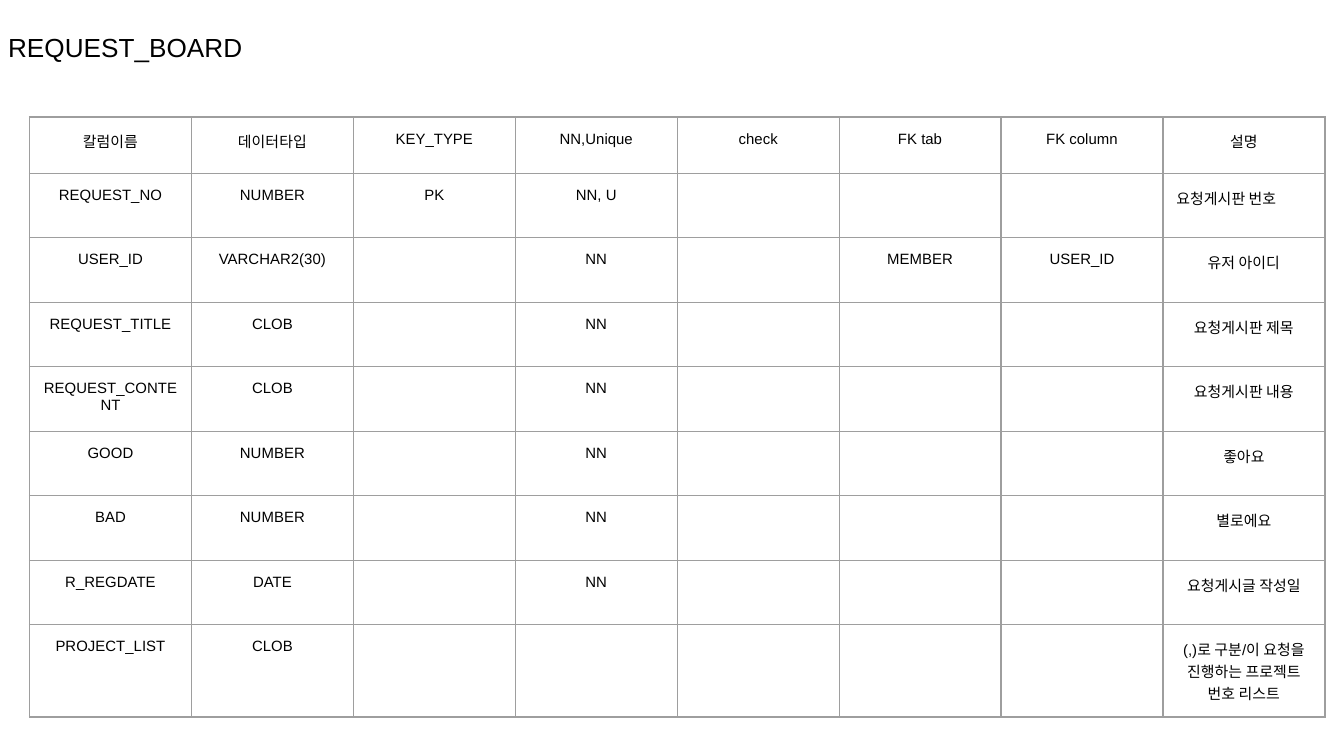
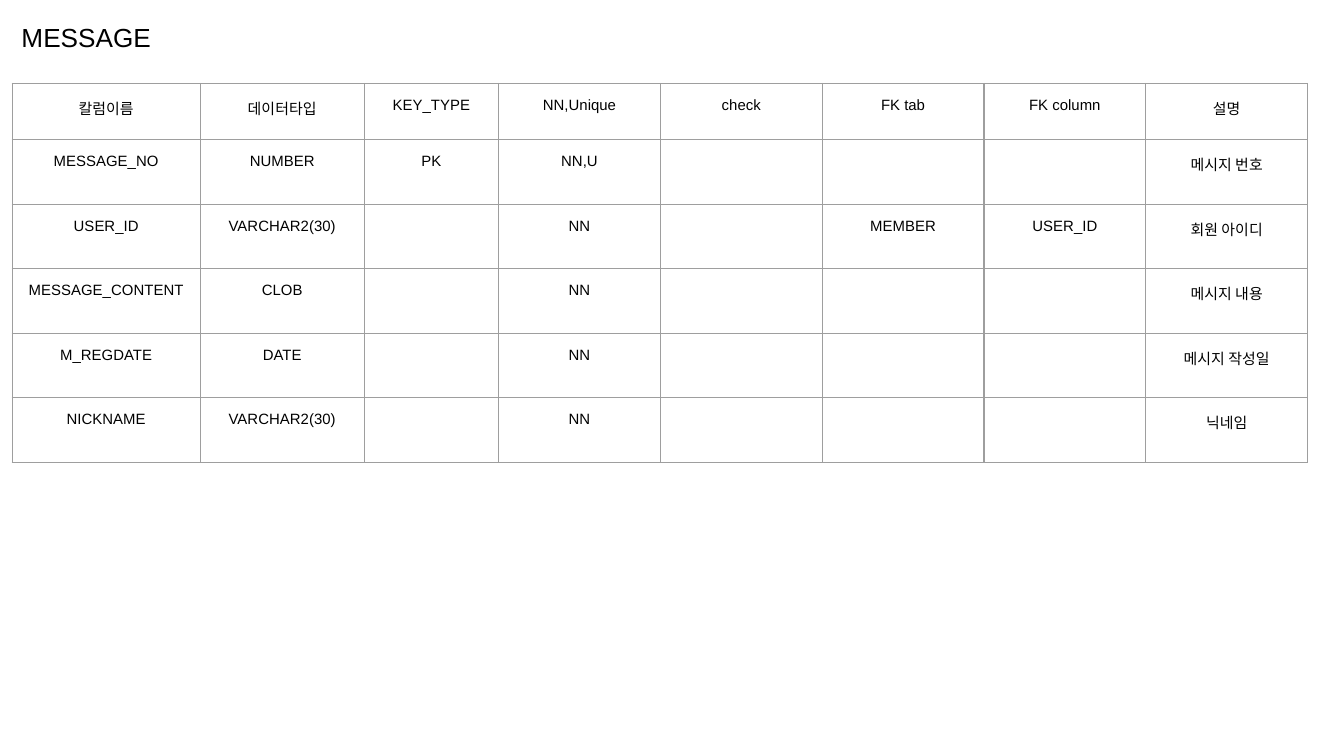
from dataclasses import dataclass

from lxml import etree
from pptx import Presentation
from pptx.dml.color import RGBColor
from pptx.enum.text import MSO_ANCHOR, MSO_AUTO_SIZE, PP_ALIGN
from pptx.oxml.ns import qn
from pptx.util import Inches, Length, Pt

LEFT = PP_ALIGN.LEFT
CENTER = PP_ALIGN.CENTER
TOP = MSO_ANCHOR.TOP
NO_AUTOFIT = MSO_AUTO_SIZE.NONE
TITLE_ONLY = 5


@dataclass(frozen=True)
class Theme:
    font: str = "Arial"
    ink: str = "000000"
    grid: str = "9E9E9E"
    title_size: Length = Pt(14)
    cell_size: Length = Pt(8)
    grid_width: Length = Pt(0.75)
    inset: Length = Inches(0.1)
    table_width: Length = Inches(9.64)
    header_height: Length = Inches(0.42)
    column_height: Length = Inches(0.48)


THEME = Theme()
HEADINGS = ("칼럼이름", "데이터타입", "KEY_TYPE", "NN,Unique", "check", "FK tab", "FK column", "설명")


@dataclass(frozen=True)
class Column:
    name: str
    datatype: str
    description: str
    key: str = ""
    constraint: str = "NN"
    fk_table: str = ""
    fk_column: str = ""
    description_align: PP_ALIGN = CENTER
    height: Length = THEME.column_height

    def values(self) -> tuple[str, ...]:
        return (self.name, self.datatype, self.key, self.constraint, "",
                self.fk_table, self.fk_column, self.description)


@dataclass(frozen=True)
class Entity:
    name: str
    title_left: Length
    title_top: Length
    table_left: Length
    table_top: Length
    columns: tuple[Column, ...]
    leading_widths: tuple[Length, ...] = ()


ENTITIES = (
    Entity(
        "REQUEST_BOARD", Inches(-0.04), Inches(0.13), Inches(0.22), Inches(0.87),
        (
            Column("REQUEST_NO", "NUMBER", "요청게시판 번호", key="PK",
                   constraint="NN, U", description_align=LEFT),
            Column("USER_ID", "VARCHAR2(30)", "유저 아이디",
                   fk_table="MEMBER", fk_column="USER_ID"),
            Column("REQUEST_TITLE", "CLOB", "요청게시판 제목"),
            Column("REQUEST_CONTENT", "CLOB", "요청게시판 내용"),
            Column("GOOD", "NUMBER", "좋아요"),
            Column("BAD", "NUMBER", "별로에요"),
            Column("R_REGDATE", "DATE", "요청게시글 작성일"),
            Column("PROJECT_LIST", "CLOB",
                   "(,)로 구분/이 요청을 진행하는 프로젝트 번호 리스트",
                   constraint="", height=Inches(0.68)),
        ),
    ),
    Entity(
        "MESSAGE", Inches(0.06), Inches(0.06), Inches(0.09), Inches(0.62),
        (
            Column("MESSAGE_NO", "NUMBER", "메시지 번호", key="PK", constraint="NN,U"),
            Column("USER_ID", "VARCHAR2(30)", "회원 아이디",
                   fk_table="MEMBER", fk_column="USER_ID"),
            Column("MESSAGE_CONTENT", "CLOB", "메시지 내용"),
            Column("M_REGDATE", "DATE", "메시지 작성일"),
            Column("NICKNAME", "VARCHAR2(30)", "닉네임"),
        ),
        leading_widths=(Inches(1.4), Inches(1.22), Inches(1)),
    ),
)


def write_text(frame, text: str, *, size: Length, align: PP_ALIGN = LEFT) -> None:
    paragraph = frame.paragraphs[0]
    paragraph.alignment = align
    if not text:
        etree.SubElement(paragraph._p, qn("a:endParaRPr"), sz=str(int(size.pt * 100)))
        return
    run = paragraph.add_run()
    run.text = text
    run.font.name = THEME.font
    run.font.size = size
    run.font.bold = False
    run.font.color.rgb = RGBColor.from_string(THEME.ink)


def set_insets(holder) -> None:
    holder.margin_left = holder.margin_right = THEME.inset
    holder.margin_top = holder.margin_bottom = THEME.inset


def draw_borders(cell) -> None:
    properties = cell._tc.get_or_add_tcPr()
    for index, side in enumerate(("a:lnL", "a:lnR", "a:lnT", "a:lnB")):
        line = etree.Element(qn(side), w=str(THEME.grid_width))
        fill = etree.SubElement(line, qn("a:solidFill"))
        etree.SubElement(fill, qn("a:srgbClr"), val=THEME.grid)
        properties.insert(index, line)


def fill_cell(cell, text: str, align: PP_ALIGN) -> None:
    set_insets(cell)
    cell.vertical_anchor = TOP
    cell.fill.background()
    draw_borders(cell)
    write_text(cell.text_frame, text, size=THEME.cell_size, align=align)


def add_title(slide, entity: Entity) -> None:
    title = slide.shapes.title
    title.left, title.top = entity.title_left, entity.title_top
    title.width, title.height = Inches(6.33), Inches(0.74)
    frame = title.text_frame
    set_insets(frame)
    frame.word_wrap = True
    frame.auto_size = NO_AUTOFIT
    frame.vertical_anchor = TOP
    write_text(frame, entity.name, size=THEME.title_size)


def add_schema(slide, entity: Entity) -> None:
    heights = [THEME.header_height, *(column.height for column in entity.columns)]
    schema = slide.shapes.add_table(
        len(heights), len(HEADINGS), entity.table_left, entity.table_top,
        THEME.table_width, sum(heights)).table
    schema.first_row = schema.horz_banding = False

    leading = entity.leading_widths
    equal_count = len(HEADINGS) - len(leading)
    equal_width = (THEME.table_width - sum(leading)) // equal_count
    for grid_column, width in zip(schema.columns, (*leading, *[equal_width] * equal_count)):
        grid_column.width = width
    for row, height in zip(schema.rows, heights):
        row.height = height

    for index, heading in enumerate(HEADINGS):
        fill_cell(schema.cell(0, index), heading, CENTER)
    last = len(HEADINGS) - 1
    for row_index, column in enumerate(entity.columns, start=1):
        for index, value in enumerate(column.values()):
            align = column.description_align if index == last else CENTER
            fill_cell(schema.cell(row_index, index), value, align)


def main() -> None:
    deck = Presentation()
    deck.slide_width = Inches(10)
    deck.slide_height = deck.slide_width * 9 // 16
    for entity in ENTITIES:
        slide = deck.slides.add_slide(deck.slide_layouts[TITLE_ONLY])
        add_schema(slide, entity)
        add_title(slide, entity)
    deck.save("out.pptx")


if __name__ == "__main__":
    main()
